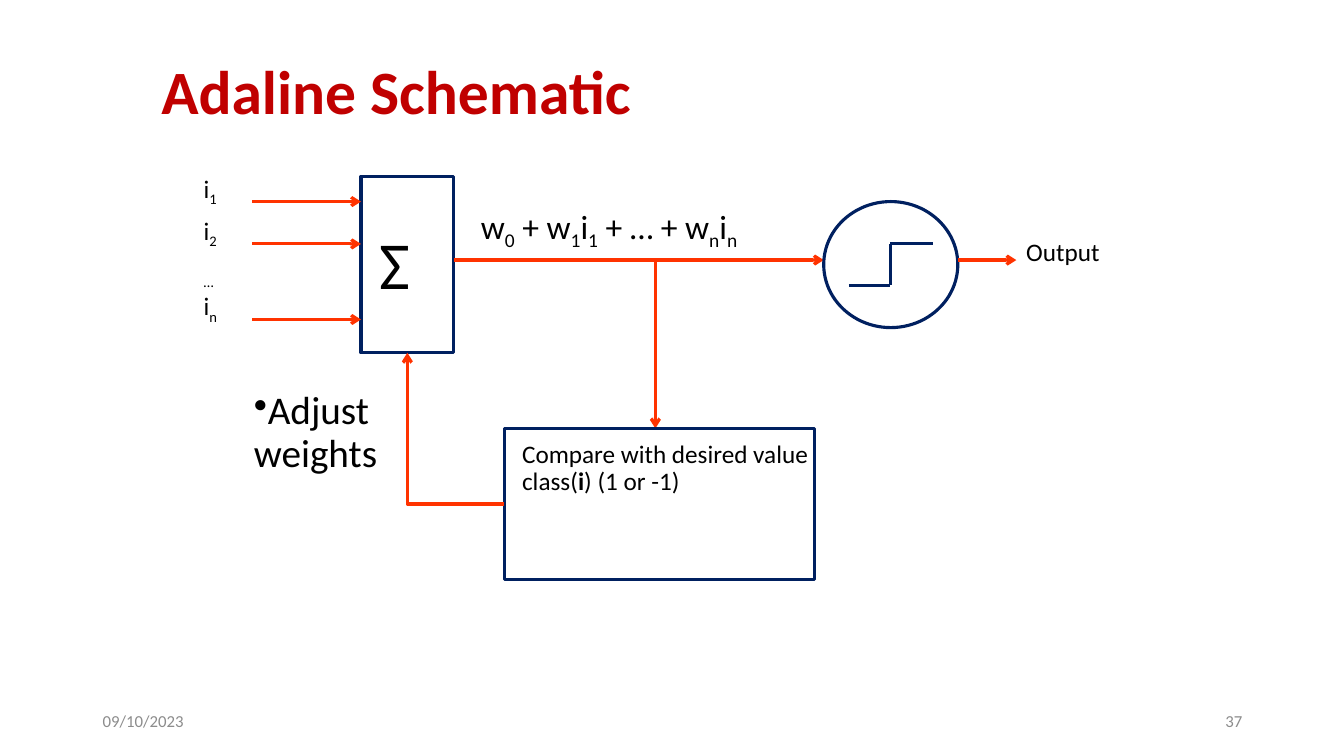
"""Builds the Adaline schematic slide."""
from lxml.etree import SubElement
from pptx import Presentation
from pptx.dml.color import RGBColor
from pptx.enum.shapes import MSO_CONNECTOR as Link, MSO_SHAPE as Shape
from pptx.enum.text import MSO_ANCHOR as Anchor, MSO_AUTO_SIZE as Fit, PP_ALIGN as Align
from pptx.oxml.ns import qn
from pptx.util import Inches, Pt

BLACK = RGBColor(0x00, 0x00, 0x00)
GREY = RGBColor(0x8C, 0x8C, 0x8C)
CRIMSON = RGBColor(0xC0, 0x00, 0x00)
NAVY = RGBColor(0x00, 0x20, 0x60)
ORANGE = RGBColor(0xFF, 0x33, 0x00)


def subscripted(text):
    first, *rest = text.split("_")
    spans = [(first, "")]
    for part in rest:
        spans += [(part[0], "sub"), (part[1:], "")]
    return [span for span in spans if span[0]]


def write(frame, lines, size=18, color=BLACK, bold=False, align=Align.LEFT,
          anchor=Anchor.TOP, spacing=0.9, before=0.1, after=0.3, bullet=None):
    frame.word_wrap = True
    frame.auto_size = Fit.NONE
    frame.vertical_anchor = anchor
    para = frame.paragraphs[0]
    para.alignment = align
    para.line_spacing = spacing
    para.space_before = Pt(size * before)
    para.space_after = Pt(size * after)
    if bullet:
        SubElement(para._p.get_or_add_pPr(), qn("a:buChar"), char=bullet)
    for index, spans in enumerate(lines):
        if index:
            para.add_line_break()
        for text, mark in spans:
            span = para.add_run()
            span.text = text
            span.font.name = "Calibri"
            span.font.size = Pt(size)
            span.font.color.rgb = color
            span.font.bold = bold or mark == "bold"
            if mark == "sub":
                span.font._element.set("baseline", "-25000")


class Schematic:
    def __init__(self, page, weight=2.25):
        self.page = page
        self.weight = Pt(weight)

    def title(self, text, left, top, width, height):
        box = self.page.shapes.title
        box.left, box.top, box.width, box.height = map(Inches, (left, top, width, height))
        write(box.text_frame, [[(text, "")]], size=44, color=CRIMSON, bold=True,
              anchor=Anchor.MIDDLE, before=0, after=0)

    def label(self, lines, left, top, width, height, **style):
        box = self.page.shapes.add_textbox(*map(Inches, (left, top, width, height)))
        write(box.text_frame, lines, **style)

    def outline(self, kind, left, top, width, height):
        shape = self.page.shapes.add_shape(kind, *map(Inches, (left, top, width, height)))
        shape.shadow.inherit = False
        shape.fill.background()
        shape.line.color.rgb = NAVY
        shape.line.width = self.weight

    def line(self, start, end, color=NAVY, arrow=False, kind=Link.STRAIGHT):
        link = self.page.shapes.add_connector(kind, *map(Inches, (*start, *end)))
        link.line.color.rgb = color
        link.line.width = self.weight
        if arrow:
            SubElement(link.line._get_or_add_ln(), qn("a:tailEnd"), type="arrow")
        SubElement(link._element.spPr, qn("a:effectLst"))
        return link

    def arrow(self, start, end):
        self.line(start, end, ORANGE, True)

    def corner_arrow(self, tip, tail):
        link = self.line(tip, tail, ORANGE, True, Link.ELBOW)
        properties = link._element.spPr
        properties.find(qn("a:prstGeom")).set("prst", "bentConnector2")
        properties.find(qn("a:xfrm")).set("rot", "10800000")


def main():
    deck = Presentation()
    deck.slide_width, deck.slide_height = Inches(13.33), Inches(7.5)
    page = deck.slides.add_slide(deck.slide_layouts[5])
    schematic = Schematic(page)
    schematic.title("Adaline Schematic", 1.5, 0.52, 10, 0.83)

    footer = dict(size=12, color=GREY, anchor=Anchor.MIDDLE, spacing=1, before=0, after=0)
    schematic.label([[("09/10/2023", "")]], 0.92, 6.95, 3, 0.4, **footer)
    schematic.label([[("37", "")]], 9.42, 6.95, 3, 0.4, align=Align.RIGHT, **footer)

    schematic.outline(Shape.RECTANGLE, 3.58, 1.75, 0.92, 1.75)
    schematic.label([[("Σ", "")]], 3.67, 2.25, 0.75, 0.83, size=48)
    for name, height in (("i_1", 2), ("i_2", 2.42), ("i_n", 3.17)):
        schematic.label([subscripted(name)], 1.92, height - 0.33, 0.92, 0.67)
        schematic.arrow((2.5, height), (3.58, height))
    schematic.label([[("…", "sub")]], 1.92, 2.5, 0.92, 0.67)

    schematic.arrow((4.5, 2.58), (8.17, 2.58))
    schematic.label([subscripted("w_0 + w_1i_1 + … + w_ni_n")], 4.67, 2, 4.08, 0.67, size=24)

    schematic.outline(Shape.OVAL, 8.17, 2, 1.33, 1.25)
    step = [(8.42, 2.83), (8.83, 2.83), (8.83, 2.42), (9.25, 2.42)]
    for start, end in zip(step, step[1:]):
        schematic.line(start, end)
    schematic.arrow((9.5, 2.58), (10.08, 2.58))
    schematic.label([[("Output", "")]], 10.08, 2.33, 1.58, 0.67)

    schematic.arrow((6.5, 2.58), (6.5, 4.25))
    schematic.outline(Shape.RECTANGLE, 5, 4.25, 3.08, 1.5)
    schematic.label([[("Compare with desired value", "")],
                     [("class(", ""), ("i", "bold"), (") (1 or -1)", "")]],
                    5.08, 4.33, 3.08, 1.25)
    schematic.corner_arrow((4.04, 3.5), (5, 5))
    schematic.label([[("Adjust weights", "")]], 2.42, 3.83, 1.92, 1.33, size=28, bullet="•")

    deck.save("out.pptx")


if __name__ == "__main__":
    main()
